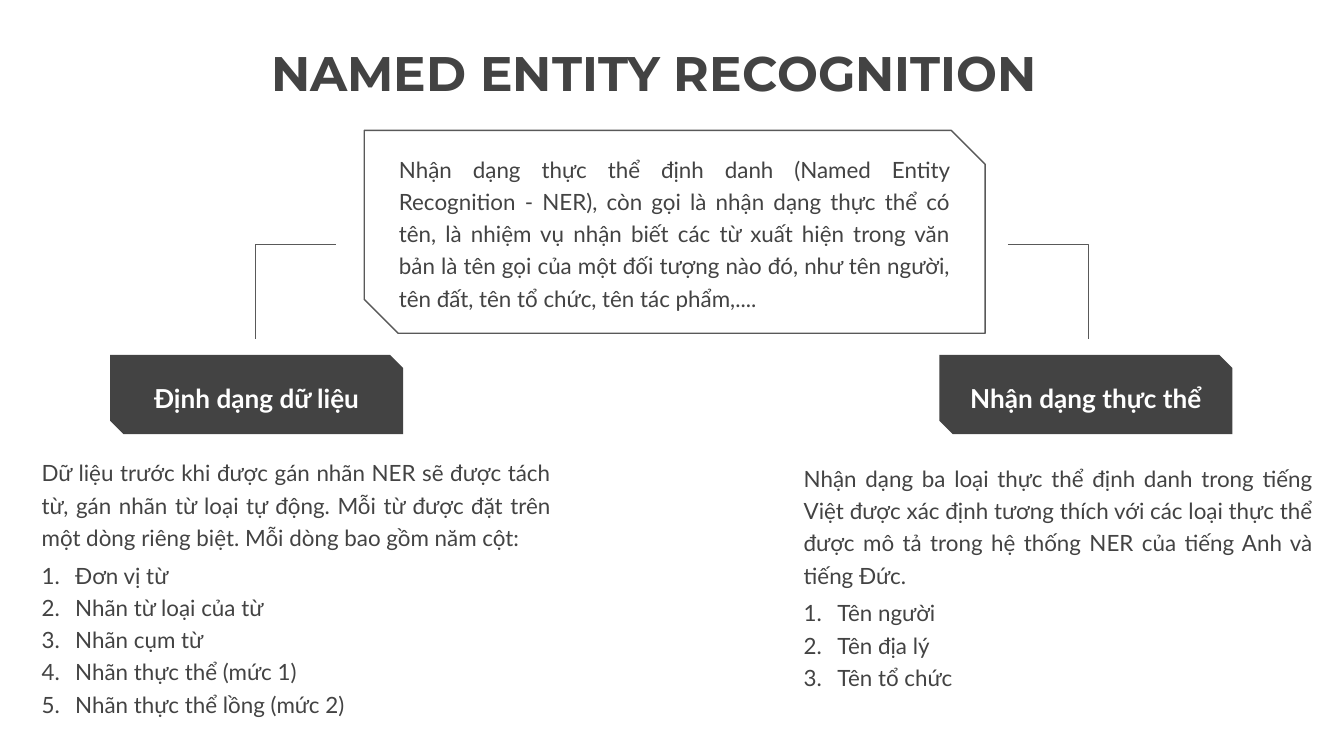
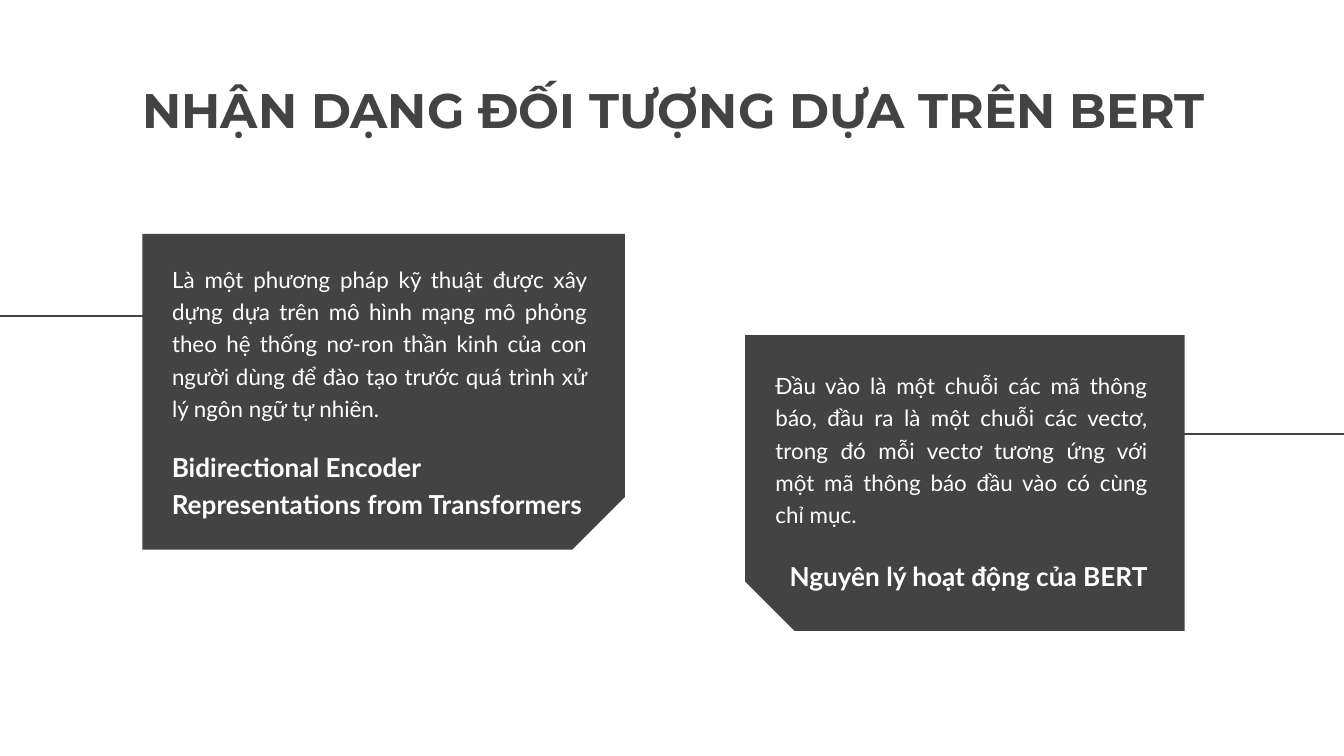
"""Build two slides on named entity recognition and BERT."""
import pptx
import pptx.dml.color
import pptx.enum.shapes
import pptx.enum.text
import pptx.oxml
import pptx.oxml.ns
import pptx.util
from lxml import etree

Inches = pptx.util.Inches
Pt = pptx.util.Pt
RGBColor = pptx.dml.color.RGBColor
ALIGN = pptx.enum.text.PP_ALIGN
ANCHOR = pptx.enum.text.MSO_ANCHOR
SHAPE = pptx.enum.shapes.MSO_SHAPE
CONNECTOR = pptx.enum.shapes.MSO_CONNECTOR
qn = pptx.oxml.ns.qn

SLIDE_WIDTH = Inches(10)
SLIDE_HEIGHT = SLIDE_WIDTH * 9 // 16
DARK = RGBColor(0x43, 0x43, 0x43)
OUTLINE = RGBColor(0x59, 0x59, 0x59)
WHITE = RGBColor(0xFF, 0xFF, 0xFF)
TITLE_FONT, TEXT_FONT = "Montserrat", "Lato"
SNIP = 0.167

NER = {
    "title": ("NAMED ENTITY RECOGNITION", (1.64, 0.27, 6.46, 0.54)),
    "definition": (
        "Nhận dạng thực thể định danh (Named Entity Recognition - NER), còn gọi là nhận dạng "
        "thực thể có tên, là nhiệm vụ nhận biết các từ xuất hiện trong văn bản là tên gọi của "
        "một đối tượng nào đó, như tên người, tên đất, tên tổ chức, tên tác phẩm,....",
        (2.87, 1.07, 4.3, 1.29),
    ),
    "frame": (2.71, 0.97, 4.62, 1.51),
    "branches": [
        {
            "label": "Định dạng dữ liệu",
            "label_box": (0.82, 2.64, 2.18, 0.59),
            "elbow": (2.5, 1.82, 1.9, 2.52),
            "intro": "Dữ liệu trước khi được gán nhãn NER sẽ được tách từ, gán nhãn từ loại tự "
                     "động. Mỗi từ được đặt trên một dòng riêng biệt. Mỗi dòng bao gồm năm cột:",
            "items": ["Đơn vị từ", "Nhãn từ loại của từ", "Nhãn cụm từ",
                      "Nhãn thực thể (mức 1)", "Nhãn thực thể lồng (mức 2)"],
            "text_box": (0.21, 3.33, 3.99, 2.06),
        },
        {
            "label": "Nhận dạng thực thể",
            "label_box": (6.99, 2.64, 2.18, 0.59),
            "elbow": (7.5, 1.82, 8.1, 2.52),
            "intro": "Nhận dạng ba loại thực thể định danh trong tiếng Việt được xác định tương "
                     "thích với các loại thực thể được mô tả trong hệ thống NER của tiếng Anh và "
                     "tiếng Đức.",
            "items": ["Tên người", "Tên địa lý", "Tên tổ chức"],
            "text_box": (5.88, 3.37, 3.99, 1.82),
        },
    ],
}

BERT = {
    "title": ("NHẬN DẠNG ĐỐI TƯỢNG DỰA TRÊN BERT", (0.96, 0.41, 8.71, 1.03)),
    "cards": [
        {
            "box": (1.68, 1.12, 2.35, 3.59), "rotation": 90, "flip": False,
            "line": (2.65, 2.35, 0, 2.35),
            "text": "Là một phương pháp kỹ thuật được xây dựng dựa trên mô hình mạng mô phỏng "
                    "theo hệ thống nơ-ron thần kinh của con người dùng để đào tạo trước quá "
                    "trình xử lý ngôn ngữ tự nhiên.",
            "text_box": (1.18, 1.84, 3.29, 1.27), "inset": 0.1,
            "caption": "Bidirectional Encoder Representations from Transformers",
            "caption_box": (1.18, 3.44, 3.5, 0.53), "align": ALIGN.LEFT,
        },
        {
            "box": (6.08, 1.96, 2.2, 3.27), "rotation": 270, "flip": True,
            "line": (10, 3.23, 7.31, 3.23),
            "text": "Đầu vào là một chuỗi các mã thông báo, đầu ra là một chuỗi các vectơ, trong "
                    "đó mỗi vectơ tương ứng với một mã thông báo đầu vào có cùng chỉ mục.",
            "text_box": (5.67, 2.68, 2.97, 1.29), "inset": 0.05,
            "caption": "Nguyên lý hoạt động của BERT",
            "caption_box": (5.55, 4.03, 3.09, 0.47), "align": ALIGN.RIGHT,
        },
    ],
}


def set_bullet(paragraph, numbered):
    properties = paragraph._p.get_or_add_pPr()
    indent = Inches(0.25) if numbered else 0
    properties.set("marL", str(indent))
    properties.set("indent", str(-indent))
    if not numbered:
        etree.SubElement(properties, qn("a:buNone"))
        return
    color = etree.SubElement(properties, qn("a:buClr"))
    etree.SubElement(color, qn("a:srgbClr"), val=str(DARK))
    etree.SubElement(properties, qn("a:buFont"), typeface=TEXT_FONT)
    etree.SubElement(properties, qn("a:buAutoNum"), type="arabicPeriod")


def write(shape, lines, size=12, color=DARK, font=TEXT_FONT, bold=False, align=ALIGN.JUSTIFY,
          anchor=ANCHOR.TOP, inset=0.05, spacing=1.2):
    text_frame = shape.text_frame
    text_frame.text = "\n".join(lines)
    text_frame.word_wrap = True
    text_frame.auto_size = pptx.enum.text.MSO_AUTO_SIZE.NONE
    text_frame.vertical_anchor = anchor
    text_frame.margin_left = text_frame.margin_right = Inches(0.1)
    text_frame.margin_top = text_frame.margin_bottom = Inches(inset)
    for index, paragraph in enumerate(text_frame.paragraphs):
        set_bullet(paragraph, numbered=index > 0)
        paragraph.alignment = align
        paragraph.line_spacing = spacing
        paragraph.space_before = Pt(0)
        paragraph.space_after = Pt(3 if index == 0 and len(lines) > 1 else 0)
        for run in paragraph.runs:
            run.font.name, run.font.size, run.font.bold = font, Pt(size), bold
            run.font.color.rgb = color


def bring_placeholder(slide, index, box):
    shape = slide.placeholders[index]
    shape.left, shape.top, shape.width, shape.height = map(Inches, box)
    shape.element.getparent().append(shape.element)
    return shape


def add_title(slide, text, box, **style):
    write(bring_placeholder(slide, 0, box), [text], size=26, font=TITLE_FONT, bold=True, **style)


def add_text(slide, text, box, **style):
    write(slide.shapes.add_textbox(*map(Inches, box)), [text], **style)


def add_snipped(slide, kind, box, adjustments, filled=True):
    shape = slide.shapes.add_shape(kind, *map(Inches, box))
    shape.shadow.inherit = False
    for index, value in enumerate(adjustments):
        shape.adjustments[index] = value
    if filled:
        shape.fill.solid()
        shape.fill.fore_color.rgb = DARK
        shape.line.fill.background()
    else:
        shape.fill.background()
        shape.line.color.rgb = OUTLINE
        shape.line.width = Pt(0.75)
    return shape


def add_line(slide, ends, color, kind=CONNECTOR.STRAIGHT):
    connector = slide.shapes.add_connector(kind, *map(Inches, ends))
    connector.line.color.rgb = color
    connector.line.width = Pt(0.75)
    properties = connector.element.spPr
    etree.SubElement(properties, qn("a:effectLst"))
    if kind == CONNECTOR.ELBOW:
        guides = properties.find(".//" + qn("a:avLst"))
        etree.SubElement(guides, qn("a:gd"), name="adj1", fmla="val 100000")


def build_ner(slide):
    add_snipped(slide, SHAPE.SNIP_2_DIAG_RECTANGLE, NER["frame"], (0, SNIP), filled=False)
    add_text(slide, *NER["definition"])
    for index, branch in enumerate(NER["branches"], 1):
        label = add_snipped(slide, SHAPE.SNIP_2_DIAG_RECTANGLE, branch["label_box"], (0, SNIP))
        write(label, [branch["label"]], size=14, color=WHITE, bold=True, align=ALIGN.CENTER,
              anchor=ANCHOR.MIDDLE, inset=0.1)
        add_line(slide, branch["elbow"], OUTLINE, CONNECTOR.ELBOW)
        body = bring_placeholder(slide, index, branch["text_box"])
        write(body, [branch["intro"], *branch["items"]])
    add_title(slide, *NER["title"], align=ALIGN.CENTER, spacing=1.0)


def build_bert(slide):
    add_title(slide, *BERT["title"], align=ALIGN.LEFT, inset=0.1)
    for index, card in enumerate(BERT["cards"], 1):
        shape = add_snipped(slide, SHAPE.SNIP_1_RECTANGLE, card["box"], (SNIP,))
        shape.rotation = card["rotation"]
        if card["flip"]:
            shape.element.spPr.find(qn("a:xfrm")).set("flipH", "1")
        add_line(slide, card["line"], DARK)
        body = bring_placeholder(slide, index, card["text_box"])
        write(body, [card["text"]], color=WHITE, inset=card["inset"])
        add_text(slide, card["caption"], card["caption_box"], size=14, color=WHITE, bold=True,
                 align=card["align"], anchor=ANCHOR.BOTTOM, inset=0.1)


def main():
    presentation = pptx.Presentation()
    presentation.slide_width, presentation.slide_height = SLIDE_WIDTH, SLIDE_HEIGHT
    two_content = presentation.slide_layouts[3]
    for build in (build_ner, build_bert):
        build(presentation.slides.add_slide(two_content))
    presentation.save("out.pptx")


if __name__ == "__main__":
    main()
